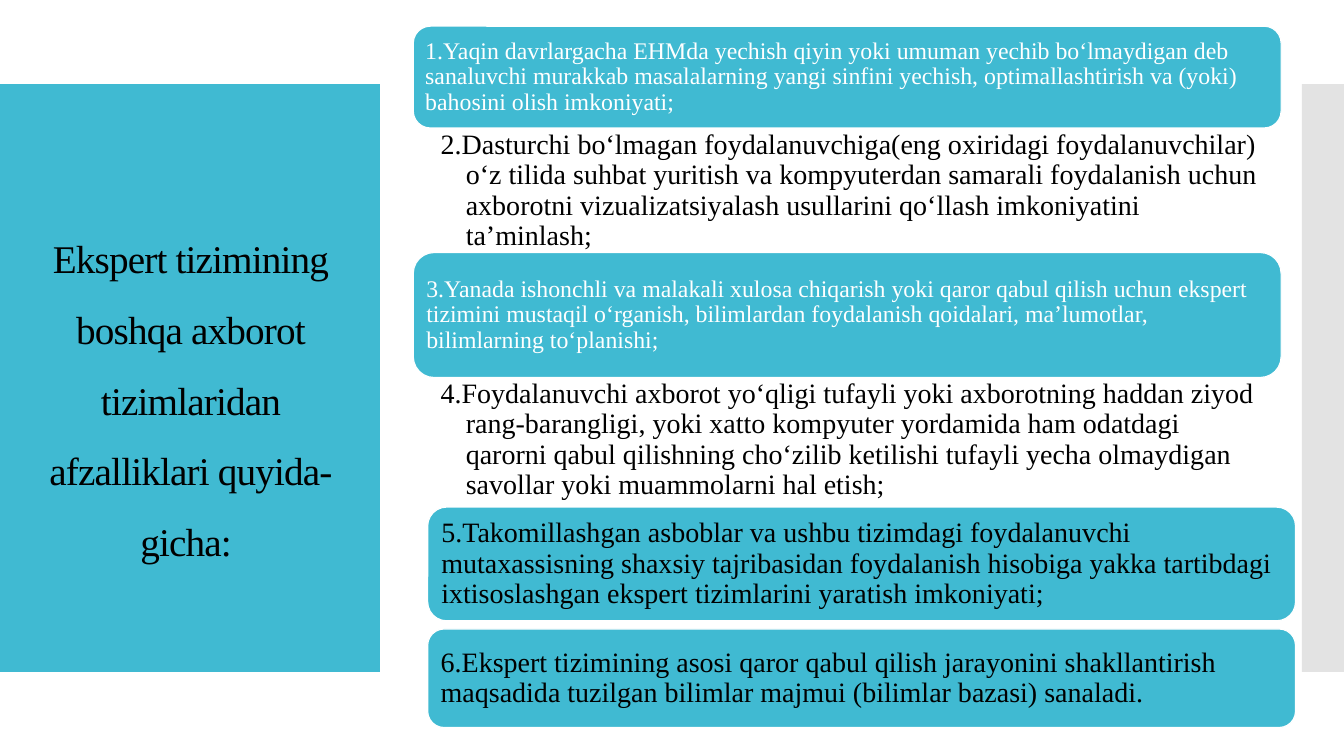
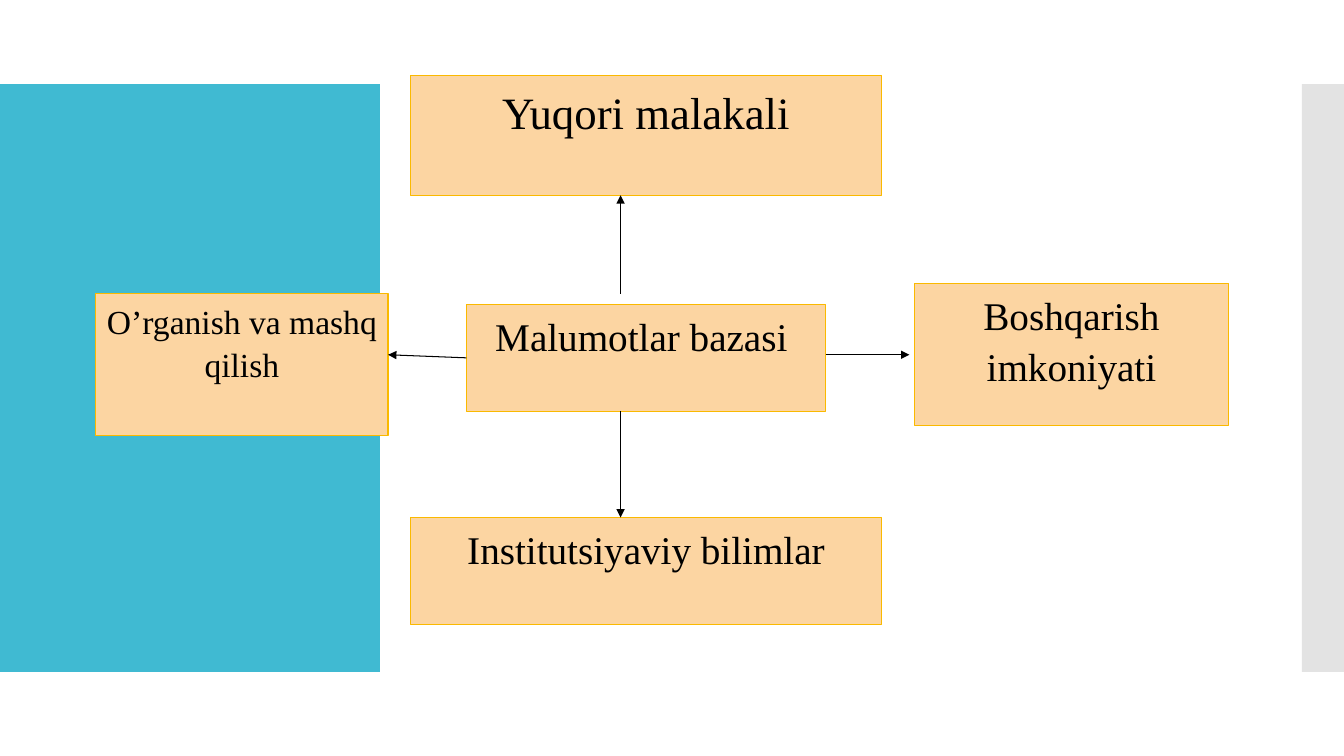
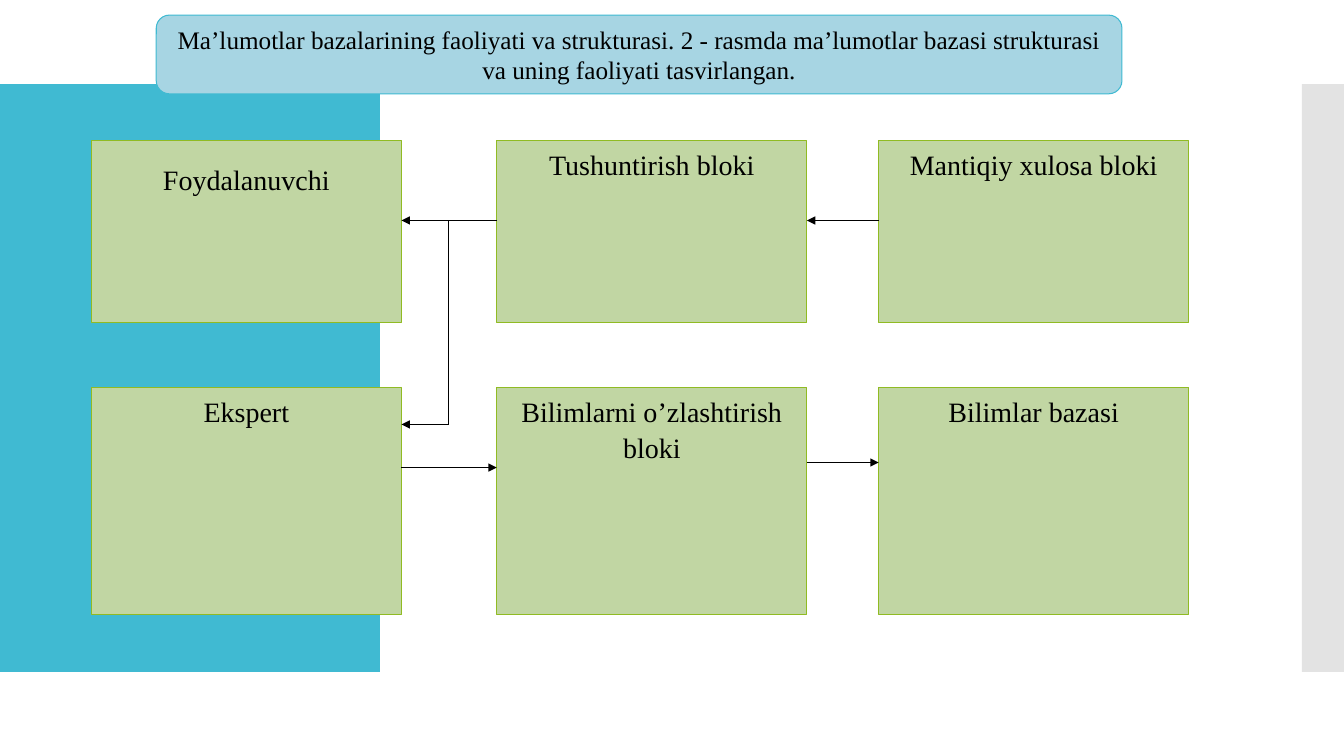
from dataclasses import dataclass

from lxml import etree
from pptx import Presentation
from pptx.dml.color import RGBColor
from pptx.enum.shapes import MSO_CONNECTOR, MSO_SHAPE
from pptx.enum.text import MSO_ANCHOR, MSO_AUTO_SIZE, PP_ALIGN
from pptx.oxml.ns import qn
from pptx.util import Pt

RECT = MSO_SHAPE.RECTANGLE
ROUNDED = MSO_SHAPE.ROUNDED_RECTANGLE
STRAIGHT = MSO_CONNECTOR.STRAIGHT
TOP, MIDDLE = MSO_ANCHOR.TOP, MSO_ANCHOR.MIDDLE
LEFT, CENTER = PP_ALIGN.LEFT, PP_ALIGN.CENTER
NO_FIT = MSO_AUTO_SIZE.NONE
TITLE_ONLY, BLANK = 5, 6


@dataclass(frozen=True)
class Theme:
    font: str = "Times New Roman"
    black: str = "000000"
    white: str = "FFFFFF"
    teal: str = "40BAD2"
    pale_teal: str = "A7D5E3"
    gray: str = "C8C8C8"
    peach: str = "FCD5A2"
    amber: str = "FAB900"
    pale_green: str = "C1D6A3"
    green: str = "90BB23"
    small: int = 17
    banner: int = 18
    body: int = 20
    medium: int = 24
    large: int = 28
    huge: int = 32
    hairline: float = 0.75


THEME = Theme()


class Deck:
    def __init__(self, theme):
        self.theme = theme
        self.deck = Presentation()
        self.deck.slide_width, self.deck.slide_height = Pt(960), Pt(540)
        self.page = None

    def add_page(self, layout):
        self.page = self.deck.slides.add_slide(self.deck.slide_layouts[layout])

    def add_master_bands(self):
        left = self.box((0, 60, 271.3, 420), self.theme.teal)
        right = self.box((930, 60, 30, 420), self.theme.gray)
        color = right._element.spPr.find(".//" + qn("a:srgbClr"))
        etree.SubElement(color, qn("a:alpha"), val="50000")
        tree = self.deck.slide_master.shapes._spTree
        for index, band in enumerate((left, right)):
            band._element.nvSpPr.cNvPr.set("id", str(100 + index))
            tree.insert(2 + index, band._element)

    def set_text(self, frame, text, size, color=None, align=CENTER, anchor=TOP,
                 spacing=1.0, insets=(7.2, 3.6, 7.2, 3.6)):
        frame.word_wrap = True
        frame.auto_size = NO_FIT
        frame.vertical_anchor = anchor
        (frame.margin_left, frame.margin_top,
         frame.margin_right, frame.margin_bottom) = map(Pt, insets)
        para = frame.paragraphs[0]
        para.text = text
        para.alignment = align
        para.line_spacing = spacing
        para.font.name = self.theme.font
        para.font.size = Pt(size)
        para.font.color.rgb = RGBColor.from_string(color or self.theme.black)
        return para

    def title(self, area, text):
        title = self.page.shapes.title
        title.left, title.top, title.width, title.height = map(Pt, area)
        para = self.set_text(title.text_frame, text, self.theme.large,
                             anchor=MIDDLE, spacing=1.5, insets=(7.2, 18, 7.2, 3.6))
        para.runs[0]._r.get_or_add_rPr().set("spc", "-60")

    def box(self, area, fill, line=None, width=THEME.hairline, kind=RECT):
        box = self.page.shapes.add_shape(kind, *map(Pt, area))
        box.shadow.inherit = False
        box.fill.solid()
        box.fill.fore_color.rgb = RGBColor.from_string(fill)
        if line:
            box.line.color.rgb = RGBColor.from_string(line)
            box.line.width = Pt(width)
        else:
            box.line.fill.background()
        return box

    def card(self, area, text, size, color, inset):
        card = self.box(area, self.theme.teal, self.theme.white, 0.85, ROUNDED)
        self.set_text(card.text_frame, text, size, color, LEFT, MIDDLE, 0.9, (inset,) * 4)

    def hanging_text(self, area, text):
        box = self.page.shapes.add_textbox(*map(Pt, area))
        para = self.set_text(box.text_frame, text, self.theme.body, align=LEFT,
                             spacing=0.9, insets=(19.5, 1.8, 11.5, 1.8))
        properties = para._p.get_or_add_pPr()
        properties.set("marL", str(Pt(18)))
        properties.set("indent", str(Pt(-18)))

    def node(self, area, text, size, fill, line, spacing=1.07, kind=RECT):
        node = self.box(area, fill, line, kind=kind)
        self.set_text(node.text_frame, text, size, spacing=spacing)

    def line(self, start, end, arrow=True):
        line = self.page.shapes.add_connector(STRAIGHT, *map(Pt, start + end))
        line.line.color.rgb = RGBColor.from_string(self.theme.black)
        line.line.width = Pt(self.theme.hairline)
        if arrow:
            etree.SubElement(line.line._get_or_add_ln(), qn("a:tailEnd"), type="triangle")
        etree.SubElement(line._element.spPr, qn("a:effectLst"))


def build_advantages(deck):
    theme = deck.theme
    deck.title((20.2, 88.6, 231.8, 362.2),
               "Ekspert tizimining boshqa ахborot tizimlaridan afzalliklari quyida-gicha: ")
    left, width = 295.2, 619.9
    deck.card((left, 18.7, width, 72.7),
              "1.Yaqin davrlargacha EHMda yechish qiyin yoki umuman yechib bо‘lmaydigan deb "
              "sanaluvchi murakkab masalalarning yangi sinfini yechish, optimallashtirish va "
              "(yoki) bahosini olish imkoniyati;", theme.small, theme.white, 5)
    deck.hanging_text((left, 91.4, width, 89.3),
                      "2.Dasturchi bо‘lmagan foydalanuvchiga(eng oхiridagi foydalanuvchilar) "
                      "о‘z tilida suhbat yuritish va kоmpyuterdan samarali foydalanish uchun "
                      "ахborotni vizualizatsiyalash usullarini qо‘llash imkoniyatini ta’minlash;")
    deck.card((left, 180.4, width, 89.3),
              "3.Yanada ishonchli va malakali хulosa chiqarish yoki qaror qabul qilish uchun "
              "ekspert tizimini mustaqil о‘rganish, bilimlardan foydalanish qoidalari, "
              "ma’lumotlar, bilimlarning tо‘planishi;", theme.small, theme.white, 5)
    deck.hanging_text((left, 269.3, width, 89.3),
                      "4.Foydalanuvchi ахborot yо‘qligi tufayli yoki ахborotning haddan ziyod "
                      "rang-barangligi, yoki хatto kоmpyuter yordamida ham odatdagi qarorni "
                      "qabul qilishning chо‘zilib ketilishi tufayli yecha olmaydigan savollar "
                      "yoki muammolarni hal etish;")
    left = 305.5
    deck.card((left, 362.2, width, 81.2),
              "5.Takomillashgan asboblar va ushbu tizimdagi foydalanuvchi mutaхassisning "
              "shaхsiy tajribasidan foydalanish hisobiga yakka tartibdagi iхtisoslashgan "
              "ekspert tizimlarini yaratish imkoniyati;", theme.body, theme.black, 5.8)
    deck.card((left, 449.3, width, 70.4),
              "6.Ekspert tizimining asosi qaror qabul qilish jarayonini shakllantirish "
              "maqsadida tuzilgan bilimlar majmui (bilimlar bazasi) sanaladi.",
              theme.body, theme.black, 5.8)


def build_database_links(deck):
    theme = deck.theme
    nodes = (
        ((68.4, 209.5, 208.8, 101.5), "О’rganish va mashq qilish", theme.medium),
        ((333.2, 217.4, 256.8, 76.3), "Malumotlar bazasi ", theme.large),
        ((653, 202.3, 224.8, 101.5), "Boshqarish imkoniyati", theme.large),
        ((293, 369.7, 337, 76.3), "Institutsiyaviy bilimlar", theme.large),
        ((293, 54, 337, 85.5), "Yuqori malakali", theme.huge),
    )
    for area, text, size in nodes:
        deck.node(area, text, size, theme.peach, theme.amber)
    axis = 443.3
    deck.line((axis, 210), (axis, 139.5))
    deck.line((axis, 293.7), (axis, 369.7))
    deck.line((590, 253.4), (649.6, 253.4))
    deck.line((333.2, 255.6), (277.2, 253.4))


def build_database_structure(deck):
    theme = deck.theme
    deck.node((111.6, 10.8, 689.8, 56.2),
              "Ma’lumotlar bazalarining faoliyati va strukturasi. 2 - rasmda ma’lumotlar "
              "bazasi strukturasi va uning faoliyati tasvirlangan.",
              theme.banner, theme.pale_teal, theme.teal, 1.0, ROUNDED)
    columns, width = (65.2, 354.8, 627.6), 221.6
    rows = (
        (100.2, 130.2, ("Foydalanuvchi", "Tushuntirish bloki", "Mantiqiy хulosa bloki")),
        (276.5, 162.4, ("Ekspert", "Bilimlarni о’zlashtirish bloki", "Bilimlar bazasi")),
    )
    for top, height, labels in rows:
        for left, label in zip(columns, labels):
            spacing = 1.5 if label == "Foydalanuvchi" else 1.07
            deck.node((left, top, width, height), label, theme.body,
                      theme.pale_green, theme.green, spacing)
    first, second, third = columns
    first_end, second_end = first + width, second + width
    upper, branch, lower = 157.5, 320.6, 303.2
    deck.line((second, upper), (first_end, upper))
    deck.line((third, upper), (second_end, upper))
    deck.line((first_end, 334), (second, 334))
    deck.line((second_end, 330.4), (third, 330.4))
    deck.line((branch, upper), (branch, lower), arrow=False)
    deck.line((branch, lower), (first_end, lower))


deck = Deck(THEME)
deck.add_page(TITLE_ONLY)
deck.add_master_bands()
build_advantages(deck)
for build in (build_database_links, build_database_structure):
    deck.add_page(BLANK)
    build(deck)
deck.deck.save("out.pptx")
